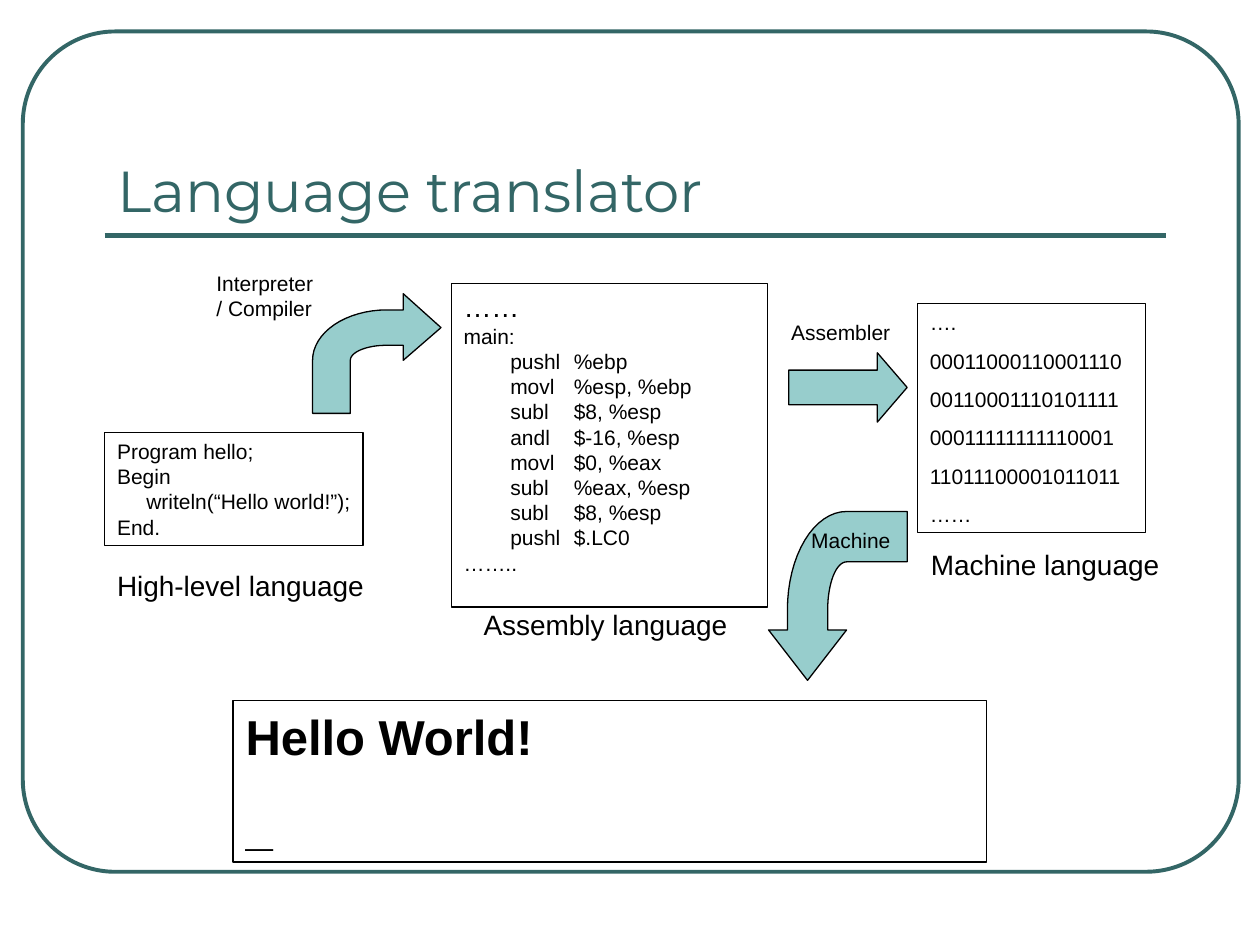
from math import cos, pi, sin

from lxml.etree import SubElement
from pptx import Presentation
from pptx.dml.color import RGBColor
from pptx.enum.shapes import MSO_CONNECTOR as Connector, MSO_SHAPE as Shape
from pptx.enum.text import MSO_ANCHOR as Anchor, MSO_AUTO_SIZE as AutoSize, PP_ALIGN as Align
from pptx.oxml.ns import qn
from pptx.util import Pt

TEAL, AQUA, BLACK = "336666", "97CDCC", "000000"
FRAME = (13, 18, 694.8, 480.2)
TITLE = ("Language translator", (59.8, 41.8, 606.2, 90))
RULE = (59.8, 134.6, 666, 134.6)

# place, lines as (text, size), space before, bold, tab stops
PANELS = [
    ((257.8, 162, 180.7, 185), [("……", 16)] + [(line, 12) for line in (
        "main:",
        "\tpushl\t%ebp",
        "\tmovl\t%esp, %ebp",
        "\tsubl\t$8, %esp",
        "\tandl\t$-16, %esp",
        "\tmovl\t$0, %eax",
        "\tsubl\t%eax, %esp",
        "\tsubl\t$8, %esp",
        "\tpushl\t$.LC0",
        "……..",
    )], 0, False, (26.7, 63)),
    ((59.8, 247, 147.6, 64.8), [(line, 12) for line in (
        "Program hello;", "Begin", "\twriteln(“Hello world!”);", "End.",
    )], 0, False, (16.7,)),
    ((524.2, 173.5, 130.3, 131), [(line, 12) for line in (
        "….",
        "00011000110001110",
        "00110001110101111",
        "00011111111110001",
        "11011100001011011",
        "……",
    )], 7.5, False, ()),
    ((133.2, 400.3, 430.6, 92.2), [("Hello World!", 28), ("_", 28)], 17.5, True, ()),
]

# place, lines, size
LABELS = [
    ((116.6, 151.2, 69.8, 36), ["Interpreter", "/ Compiler"], 12),
    ((59.8, 321.1, 155.5, 26.6), ["High-level language"], 16),
    ((269.3, 343.4, 153.4, 26.6), ["Assembly language"], 16),
    ((524.9, 309.6, 144.7, 26.6), ["Machine language"], 16),
    ((445, 179.3, 71.3, 21.6), ["Assembler"], 12),
    ((456.5, 298.1, 59.8, 21.6), ["Machine"], 12),
]

STRAIGHT_ARROW = (450.7, 201.6, 67.7, 39.6)
# A pair is a straight step; four numbers are a rounded corner and its end.
BENT_ARROWS = [
    [(178.6, 236.2), (178.6, 205.9), (178.6, 177.1, 221, 177.1), (230.4, 177.1),
     (230.4, 167.8), (252, 187.2), (230.4, 205.9), (230.4, 197.3), (221, 197.3),
     (200.2, 197.3, 200.2, 205.9), (200.2, 236.2)],
    [(518.4, 292.3), (483.8, 292.3), (450, 292.3, 450, 348.5), (450, 360),
     (439.2, 360), (461.5, 388.8), (483.8, 360), (473, 360), (473, 348.5),
     (473, 321.1, 483.8, 321.1), (518.4, 321.1)],
]


def color(value):
    return RGBColor.from_string(value)


def points(lengths):
    return [Pt(length) for length in lengths]


def style(shape, line, width, fill=None):
    shape.shadow.inherit = False
    shape.line.color.rgb = color(line)
    shape.line.width = Pt(width)
    if fill:
        shape.fill.solid()
        shape.fill.fore_color.rgb = color(fill)
    else:
        shape.fill.background()


def write(shape, lines, wrap=True, space=0, bold=False, tabs=()):
    frame = shape.text_frame
    frame.word_wrap = wrap
    frame.auto_size = AutoSize.NONE
    frame.vertical_anchor = Anchor.TOP
    for index, (text, size) in enumerate(lines):
        para = frame.add_paragraph() if index else frame.paragraphs[0]
        para.alignment = Align.LEFT
        para.space_before = Pt(space)
        if tabs:
            stops = SubElement(para._p.get_or_add_pPr(), qn("a:tabLst"))
            for stop in tabs:
                SubElement(stops, qn("a:tab"), pos=str(Pt(stop)), algn="l")
        span = para.add_run()
        span.text = text
        span.font.name = "Arial"
        span.font.size = Pt(size)
        span.font.bold = bold
        span.font.color.rgb = color(BLACK)


def trace(outline, steps=16):
    """Turn each rounded corner into short steps along a quarter ellipse."""
    path_points = []
    for step in outline:
        if len(step) == 2:
            path_points.append(step)
            continue
        start, corner, end = path_points[-1], step[:2], step[2:]
        for index in range(1, steps + 1):
            angle = pi / 2 * index / steps
            path_points.append(tuple(
                s + e - c + (c - e) * cos(angle) + (c - s) * sin(angle)
                for s, c, e in zip(start, corner, end)))
    return path_points


def add_title(page):
    text, place = TITLE
    title = page.shapes.title
    title.left, title.top, title.width, title.height = points(place)
    title.text_frame.vertical_anchor = Anchor.BOTTOM
    title.text_frame.auto_size = AutoSize.NONE
    para = title.text_frame.paragraphs[0]
    para.alignment = Align.LEFT
    span = para.add_run()
    span.text = text
    span.font.name = "Montserrat"
    span.font.size = Pt(33)
    span.font.color.rgb = color(TEAL)


def main():
    deck = Presentation()
    deck.slide_width, deck.slide_height = Pt(720), Pt(540)
    page = deck.slides.add_slide(deck.slide_layouts[5])
    shapes = page.shapes

    frame = shapes.add_shape(Shape.ROUNDED_RECTANGLE, *points(FRAME))
    frame.adjustments[0] = 0.11
    style(frame, TEAL, 2.25)
    rule = shapes.add_connector(Connector.STRAIGHT, *points(RULE))
    rule.line.color.rgb = color(TEAL)
    rule.line.width = Pt(3)
    SubElement(rule._element.spPr, qn("a:effectLst"))
    add_title(page)

    for place, lines, space, bold, tabs in PANELS:
        panel = shapes.add_shape(Shape.RECTANGLE, *points(place))
        style(panel, BLACK, 0.75)
        write(panel, lines, space=space, bold=bold, tabs=tabs)

    arrow = shapes.add_shape(Shape.RIGHT_ARROW, *points(STRAIGHT_ARROW))
    arrow.adjustments[1] = 0.43
    style(arrow, BLACK, 0.75, AQUA)
    for outline in BENT_ARROWS:
        first, *rest = [points(point) for point in trace(outline)]
        builder = shapes.build_freeform(*first)
        builder.add_line_segments(rest, close=True)
        style(builder.convert_to_shape(), BLACK, 0.75, AQUA)

    for place, lines, size in LABELS:
        label = shapes.add_textbox(*points(place))
        write(label, [(line, size) for line in lines], wrap=False)

    deck.save("out.pptx")


if __name__ == "__main__":
    main()
